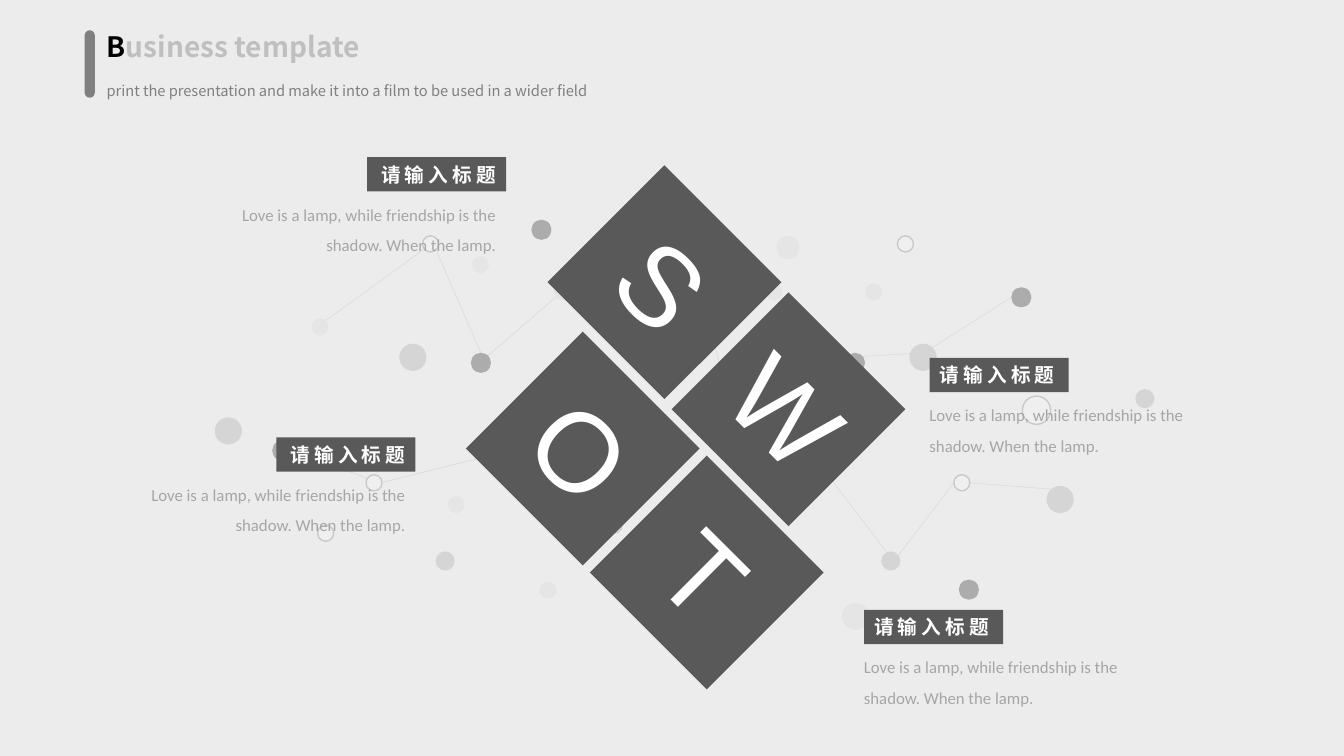
from lxml import etree
from pptx import Presentation
from pptx.dml.color import RGBColor
from pptx.enum.shapes import MSO_CONNECTOR, MSO_SHAPE
from pptx.enum.text import MSO_ANCHOR, MSO_AUTO_SIZE, PP_ALIGN
from pptx.oxml.ns import qn
from pptx.util import Inches, Pt

STRAIGHT = MSO_CONNECTOR.STRAIGHT
OVAL, RECT, ROUNDED = MSO_SHAPE.OVAL, MSO_SHAPE.RECTANGLE, MSO_SHAPE.ROUNDED_RECTANGLE
TOP, MIDDLE = MSO_ANCHOR.TOP, MSO_ANCHOR.MIDDLE
LEFT, CENTER, RIGHT = PP_ALIGN.LEFT, PP_ALIGN.CENTER, PP_ALIGN.RIGHT
NO_AUTOSIZE = MSO_AUTO_SIZE.NONE

BACKDROP = RGBColor(0xEC, 0xEC, 0xEC)
BLACK = RGBColor(0, 0, 0)
WHITE = RGBColor(0xFF, 0xFF, 0xFF)
CHARCOAL = RGBColor(0x26, 0x26, 0x26)
SLATE = RGBColor(0x59, 0x59, 0x59)
GRAY = RGBColor(0x80, 0x80, 0x80)
SILVER = RGBColor(0xA6, 0xA6, 0xA6)
LIGHT = RGBColor(0xBF, 0xBF, 0xBF)
PALE = RGBColor(0xD9, 0xD9, 0xD9)
RING = RGBColor(0xF7, 0xF7, 0xF7)
CJK_FONT = "Noto Sans CJK SC"

SLIDE_WIDTH, SLIDE_HEIGHT = 13.33, 7.5
DIAMOND_SIDE = 1.64
LABEL_WIDTH, LABEL_HEIGHT = 1.38, 0.34
BODY_WIDTH, BODY_HEIGHT = 2.9, 0.68
LABEL_TEXT = "请输入标题"
BODY_TEXT = "Love is a lamp, while friendship is the shadow. When the lamp."

# Network links: start x, start y, end x, end y
LINKS = [
    (8.41, 3.67, 8.07, 4.44), (9.17, 3.5, 8.49, 3.54), (9.12, 3.53, 10.03, 2.95),
    (7.15, 4.14, 6.67, 4.38), (3.78, 4.79, 5.18, 4.44), (2.9, 4.47, 3.71, 4.77),
    (6.03, 5.18, 5.2, 4.46), (6.15, 5.15, 6.58, 4.38), (7.06, 3.32, 7.27, 4.1),
    (7.35, 4.08, 8, 4.51), (9.62, 4.79, 10.52, 4.86), (8.88, 5.55, 9.46, 4.79),
    (8.85, 5.55, 8.04, 4.49), (5.52, 2.89, 6.3, 2.94), (5.51, 2.95, 4.84, 3.53),
    (6.41, 3.05, 6.97, 3.29), (3.23, 3.18, 4.21, 2.47), (4.77, 3.5, 4.32, 2.47),
]

# Network dots by colour and diameter: left, top
DOTS = [
    (CHARCOAL, 0.2, [(10.03, 2.85), (8.38, 3.5), (9.51, 5.75), (5.27, 2.18),
                     (4.67, 3.5), (2.7, 4.37)]),
    (CHARCOAL, 0.24, [(6.8, 5.93)]),
    (SILVER, 0.27, [(9.02, 3.41), (10.38, 4.82), (2.13, 4.14), (3.96, 3.41),
                    (6.51, 1.9), (6.49, 4.2)]),
    (SILVER, 0.21, [(5.83, 4)]),
    (SILVER, 0.19, [(11.26, 3.86), (8.74, 5.47), (4.32, 5.47)]),
    (PALE, 0.17, [(8.58, 2.81), (7.59, 2.81), (7.73, 5.77), (3.09, 3.16), (4.68, 2.54),
                  (5.49, 2.81), (5.35, 5.77), (4.44, 4.92)]),
    (PALE, 0.23, [(7.7, 2.34)]),
    (PALE, 0.27, [(7.85, 4.37), (8.35, 5.98), (5.12, 4.37)]),
    (RING, 0.16, [(9.46, 4.71), (8.9, 2.34), (6.97, 3.21), (7.08, 5.13), (3.63, 4.71),
                  (4.19, 2.34), (6.28, 2.92), (6.01, 5.13), (3.15, 5.21)]),
    (RING, 0.23, [(7.18, 4)]),
    (RING, 0.28, [(10.14, 3.93)]),
]

DIAMONDS = [("W", 7, 3.24), ("T", 6.19, 4.86), ("S", 5.77, 1.98), ("O", 4.96, 3.63)]
# Captions: label left, label top, alignment
CAPTIONS = [(3.64, 1.56, RIGHT), (2.74, 4.34, RIGHT), (8.57, 6.05, LEFT), (9.22, 3.55, LEFT)]


def write(para, text, size, color, font, bold=False, spacing=None):
    span = para.add_run()
    span.text = text
    span.font.size = Pt(size)
    span.font.bold = bold
    span.font.name = font
    span.font.color.rgb = color
    properties = span.font._element
    etree.SubElement(properties, qn("a:ea")).set("typeface", CJK_FONT)
    if spacing:
        properties.set("spc", str(spacing * 100))


def set_up_text(shape, align=LEFT, anchor=TOP, wrap=True, line_spacing=None):
    frame = shape.text_frame
    frame.auto_size = NO_AUTOSIZE
    frame.word_wrap = wrap
    frame.vertical_anchor = anchor
    para = frame.paragraphs[0]
    para.alignment = align
    if line_spacing:
        para.line_spacing = line_spacing
    return para


def add_block(slide, kind, left, top, width, height, fill, outline=None):
    block = slide.shapes.add_shape(kind, Inches(left), Inches(top), Inches(width), Inches(height))
    block.shadow.inherit = False
    block.fill.solid()
    block.fill.fore_color.rgb = fill
    if outline is None:
        block.line.fill.background()
    else:
        block.line.color.rgb = outline
        block.line.width = Pt(1)
    return block


def add_text_box(slide, left, top, width, height, **layout):
    box = slide.shapes.add_textbox(Inches(left), Inches(top), Inches(width), Inches(height))
    return set_up_text(box, **layout)


def add_link(slide, *ends):
    link = slide.shapes.add_connector(STRAIGHT, *map(Inches, ends))
    link.line.color.rgb = LIGHT
    link.line.width = Pt(0.5)
    etree.SubElement(link._element.spPr, qn("a:effectLst"))


def add_network(slide):
    for ends in LINKS:
        add_link(slide, *ends)
    for color, size, places in DOTS:
        outline = GRAY if color == RING else None
        for left, top in places:
            add_block(slide, OVAL, left, top, size, size, color, outline)
    # Translucent veil that fades the network
    veil = add_block(slide, RECT, 0, 0, SLIDE_WIDTH, SLIDE_HEIGHT, BACKDROP)
    color_node = veil._element.spPr.find(qn("a:solidFill"))[0]
    etree.SubElement(color_node, qn("a:alpha")).set("val", "68000")


def add_diamond(slide, letter, left, top):
    diamond = add_block(slide, RECT, left, top, DIAMOND_SIDE, DIAMOND_SIDE, SLATE)
    diamond.rotation = 45
    para = set_up_text(diamond, align=CENTER, anchor=MIDDLE)
    write(para, letter, 80, WHITE, "Arial")


def add_caption(slide, left, top, align):
    body_left = left + LABEL_WIDTH - BODY_WIDTH if align == RIGHT else left - 0.1
    para = add_text_box(slide, body_left, top + 0.32, BODY_WIDTH, BODY_HEIGHT,
                        align=align, line_spacing=1.5)
    write(para, BODY_TEXT, 12, SILVER, "Calibri")
    label = add_block(slide, RECT, left, top, LABEL_WIDTH, LABEL_HEIGHT, SLATE)
    para = set_up_text(label, align=align, anchor=MIDDLE, wrap=False)
    write(para, LABEL_TEXT, 14, WHITE, "Arial", bold=True, spacing=3)


def add_heading(slide):
    title = slide.shapes.title
    title.left, title.top = Inches(0.96), Inches(0.24)
    title.width, title.height = Inches(3.6), Inches(0.44)
    para = set_up_text(title)
    write(para, "B", 20, BLACK, CJK_FONT, bold=True)
    write(para, "usiness template", 20, LIGHT, CJK_FONT, bold=True)
    # Bring the title in front of the veil
    title._element.getparent().append(title._element)

    para = add_text_box(slide, 0.96, 0.73, 5.34, 0.3, line_spacing=1.2)
    write(para, "print the presentation and make it into a film to be used in a wider field",
          10.5, GRAY, CJK_FONT)
    bar = add_block(slide, ROUNDED, 0.84, 0.3, 0.1, 0.67, GRAY)
    bar.adjustments[0] = 0.5


def main():
    deck = Presentation()
    deck.slide_width, deck.slide_height = Inches(SLIDE_WIDTH), Inches(SLIDE_HEIGHT)
    page = deck.slides.add_slide(deck.slide_layouts[5])
    page.background.fill.solid()
    page.background.fill.fore_color.rgb = BACKDROP

    add_network(page)
    for diamond in DIAMONDS:
        add_diamond(page, *diamond)
    add_heading(page)
    for caption in CAPTIONS:
        add_caption(page, *caption)
    deck.save("out.pptx")


if __name__ == "__main__":
    main()
